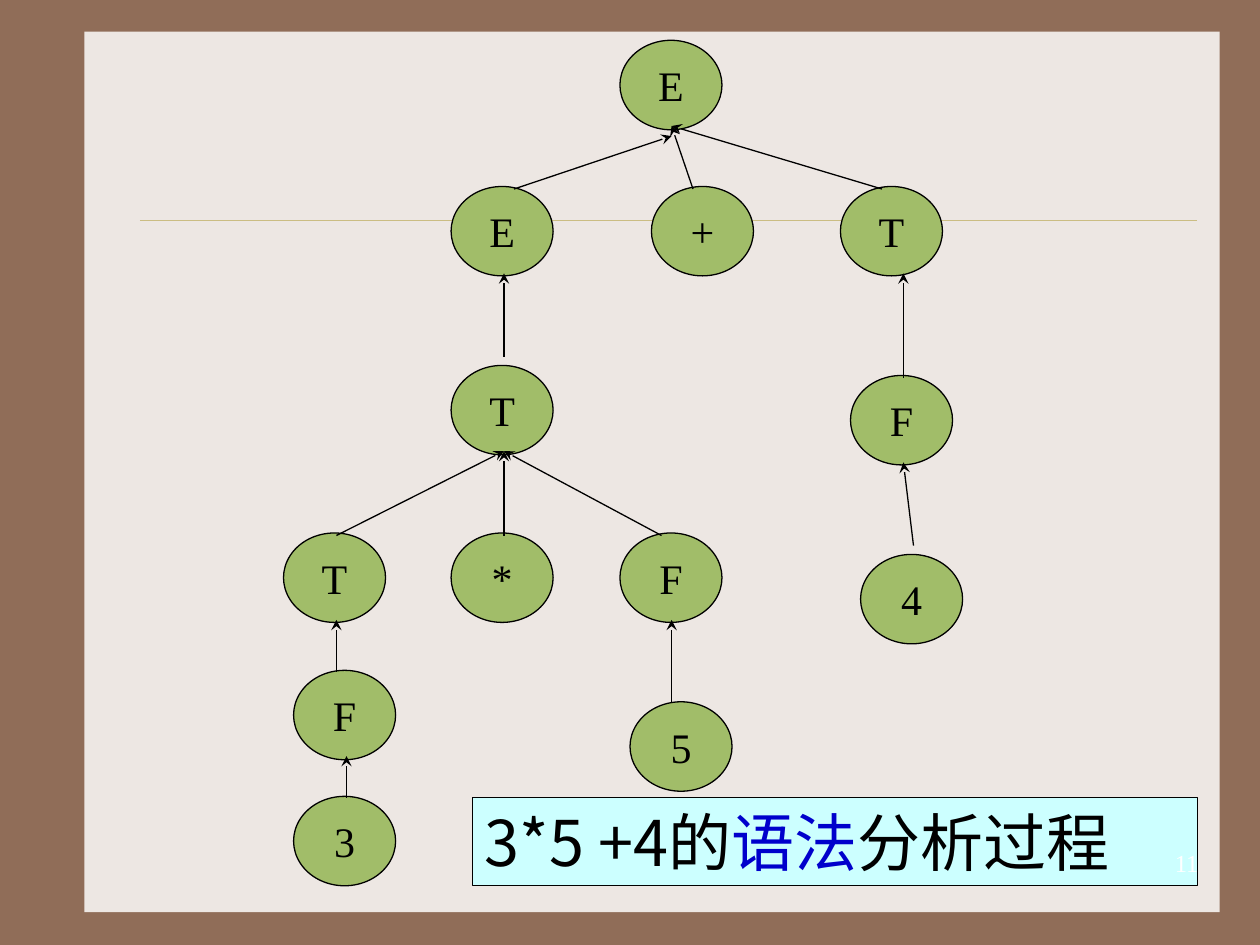
from lxml.etree import SubElement
from pptx import Presentation
from pptx.dml.color import RGBColor
from pptx.enum.shapes import MSO_CONNECTOR, MSO_SHAPE
from pptx.enum.text import MSO_ANCHOR, PP_ALIGN
from pptx.oxml.ns import qn
from pptx.util import Inches, Pt

THEME = {
    "frame": "906D58", "paper": "EDE7E3", "rule": "CBBD83",
    "node": "A1BD69", "caption": "CCFFFF", "ink": "000000",
    "accent": "0000CC", "page": "FFFFFF",
    "serif": "Times New Roman", "sans": "Noto Sans CJK JP",
    "node_size": 24, "caption_size": 36, "page_size": 14,
    "thin": 0.25, "stroke": 0.75,
}

NODE_SIZE = (0.81, 0.71)
NODES = [
    ("E", 4.92, 0.32),
    ("E", 3.58, 1.48), ("+", 5.17, 1.48), ("T", 6.67, 1.48),
    ("T", 3.58, 2.9), ("F", 6.75, 2.98),
    ("T", 2.25, 4.23), ("*", 3.58, 4.23), ("F", 4.92, 4.23), ("4", 6.83, 4.4),
    ("F", 2.33, 5.32), ("5", 5, 5.57),
    ("3", 2.33, 6.32),
]
ARROWS = [
    ((4.08, 1.5), (5.33, 1.08)), ((5.5, 1.5), (5.33, 1)), ((7, 1.5), (5.33, 1)),
    ((4, 2.83), (4, 2.17)), ((7.17, 3), (7.17, 2.17)),
    ((2.67, 4.25), (4, 3.58)), ((4, 4.25), (4, 3.58)), ((5.25, 4.25), (4, 3.58)),
    ((7.25, 4.33), (7.17, 3.67)),
    ((2.67, 5.33), (2.67, 4.92)), ((5.33, 5.58), (5.33, 4.92)),
    ((2.75, 6.33), (2.75, 6)),
]
CAPTION = [("3*5 +4的", "ink"), ("语法", "accent"), ("分析过程", "ink")]
PAGE_NUMBER = "11"


def color(key):
    return RGBColor.from_string(THEME[key])


def add_box(slide, preset, box, fill, stroke=None):
    shape = slide.shapes.add_shape(preset, *map(Inches, box))
    shape.shadow.inherit = False
    shape.fill.solid()
    shape.fill.fore_color.rgb = color(fill)
    if stroke:
        shape.line.color.rgb = color("ink")
        shape.line.width = Pt(THEME[stroke])
    else:
        shape.line.fill.background()
    return shape


def write(shape, runs, face, size, align, anchor):
    frame = shape.text_frame
    frame.word_wrap = True
    frame.vertical_anchor = anchor
    paragraph = frame.paragraphs[0]
    paragraph.alignment = align
    for text, ink in runs:
        run = paragraph.add_run()
        run.text = text
        run.font.name = THEME[face]
        run.font.size = Pt(THEME[size])
        run.font.color.rgb = color(ink)
        SubElement(run.font._element, qn("a:ea")).set("typeface", THEME[face])


def add_line(slide, start, end, ink, stroke, arrow=False):
    line = slide.shapes.add_connector(
        MSO_CONNECTOR.STRAIGHT, *map(Inches, (*start, *end)))
    line.line.color.rgb = color(ink)
    line.line.width = Pt(THEME[stroke])
    if arrow:
        SubElement(line.line._get_or_add_ln(), qn("a:tailEnd")).set("type", "stealth")
    SubElement(line._element.spPr, qn("a:effectLst"))


def main():
    deck = Presentation()
    deck.slide_width, deck.slide_height = Inches(10), Inches(7.5)
    slide = deck.slides.add_slide(deck.slide_layouts[6])
    slide.background.fill.solid()
    slide.background.fill.fore_color.rgb = color("frame")

    add_box(slide, MSO_SHAPE.RECTANGLE, (0.67, 0.25, 9.01, 6.99), "paper")
    add_line(slide, (1.11, 1.75), (9.5, 1.75), "rule", "thin")

    for symbol, left, top in NODES:
        node = add_box(slide, MSO_SHAPE.OVAL, (left, top, *NODE_SIZE), "node", "stroke")
        write(node, [(symbol, "ink")], "serif", "node_size",
              PP_ALIGN.CENTER, MSO_ANCHOR.MIDDLE)

    for child, parent in ARROWS:
        add_line(slide, child, parent, "ink", "stroke", arrow=True)

    caption = add_box(slide, MSO_SHAPE.RECTANGLE, (3.75, 6.33, 5.75, 0.7),
                      "caption", "thin")
    write(caption, CAPTION, "sans", "caption_size", PP_ALIGN.LEFT, MSO_ANCHOR.TOP)

    page = slide.shapes.add_textbox(*map(Inches, (7.53, 6.68, 2.08, 0.5)))
    write(page, [(PAGE_NUMBER, "page")], "serif", "page_size",
          PP_ALIGN.RIGHT, MSO_ANCHOR.TOP)

    deck.save("out.pptx")


if __name__ == "__main__":
    main()
